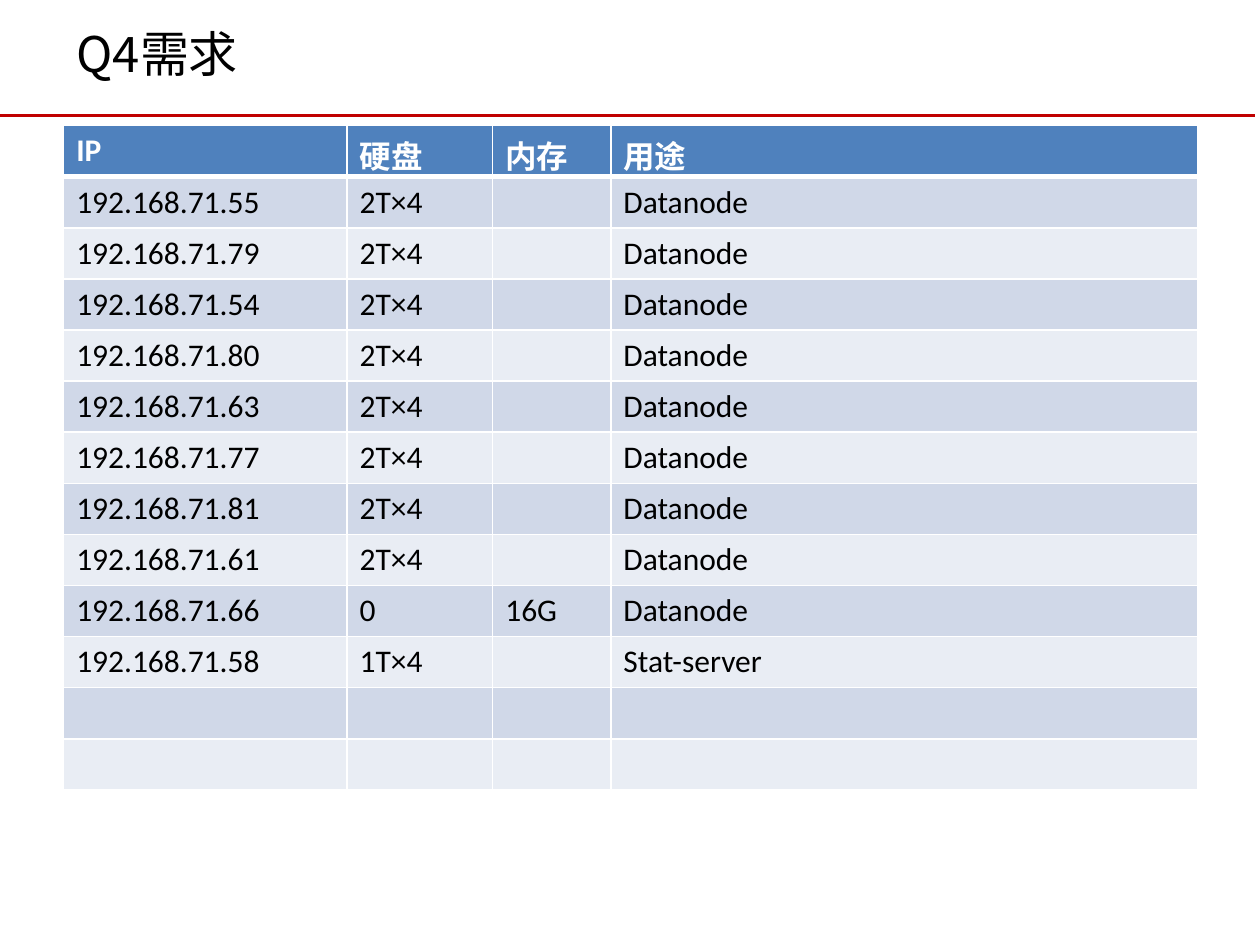
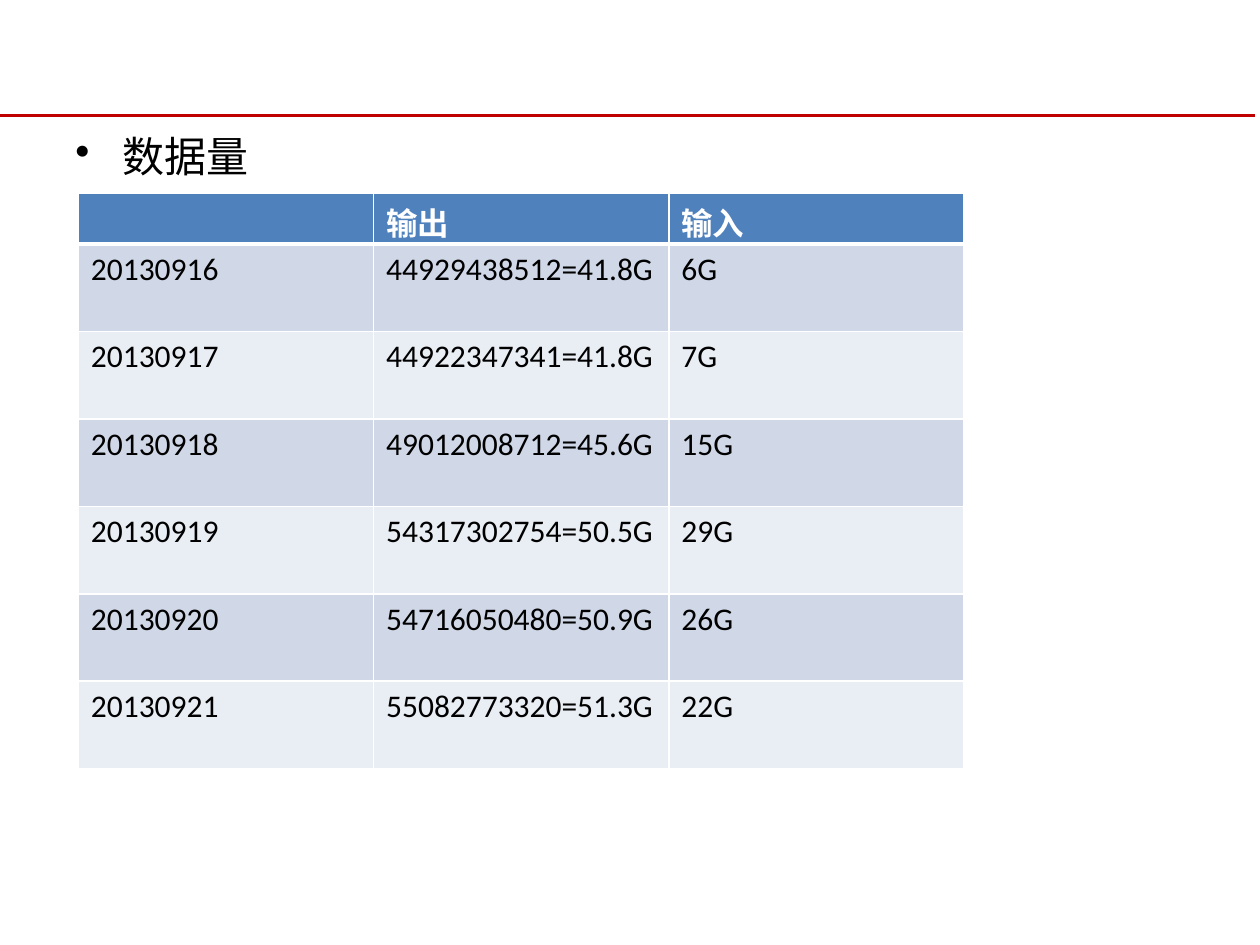
"""Build two slides: the Q4 server requirements and the daily data volume."""
from lxml.etree import SubElement
from pptx import Presentation
from pptx.dml.color import RGBColor
from pptx.enum.shapes import MSO_CONNECTOR
from pptx.enum.text import MSO_ANCHOR
from pptx.oxml.ns import qn
from pptx.util import Pt

BLACK, WHITE, RED = "000000", "FFFFFF", "C00000"
HEADER, BANDS = "4F81BD", ("E9EDF4", "D0D8E8")
LATIN, CHINESE = "Calibri", "Noto Sans CJK SC"


def paint(color_format, color):
    color_format.rgb = RGBColor.from_string(color)


def style(paragraph, size, name, color, bold=False):
    font = paragraph.font
    font.size, font.name, font.bold = Pt(size), name, bold
    font.fill.solid()
    paint(font.fill.fore_color, color)
    properties = paragraph._p.get_or_add_pPr().get_or_add_defRPr()
    SubElement(properties, qn("a:ea"), typeface=CHINESE)


servers = [("IP", "硬盘", "内存", "用途")]
servers += [(f"192.168.71.{host}", "2T×4", "", "Datanode")
            for host in (55, 79, 54, 80, 63, 77, 81, 61)]
servers += [("192.168.71.66", "0", "16G", "Datanode"),
            ("192.168.71.58", "1T×4", "", "Stat-server")]
servers += [("",) * 4] * 2

volumes = [
    ("", "输出", "输入"),
    ("20130916", "44929438512=41.8G", "6G"),
    ("20130917", "44922347341=41.8G", "7G"),
    ("20130918", "49012008712=45.6G", "15G"),
    ("20130919", "54317302754=50.5G", "29G"),
    ("20130920", "54716050480=50.9G", "26G"),
    ("20130921", "55082773320=51.3G", "22G"),
]

pages = [
    dict(text="Q4需求", size=28, bullet=False, box=(36.72, 0, 648, 60.48),
         rows=servers, origin=(36.4, 71.8), widths=(161.9, 83.3, 67.5, 335.3),
         header_height=29.2, row_height=29.2),
    dict(text="数据量", size=24, bullet=True, box=(36, 71.28, 648, 411),
         rows=volumes, origin=(44.8, 110.2), widths=(168.7,) * 3,
         header_height=29.2, row_height=50),
]

presentation = Presentation()
presentation.slide_width, presentation.slide_height = Pt(720), Pt(540)

for page in pages:
    slide = presentation.slides.add_slide(presentation.slide_layouts[6])

    rule = slide.shapes.add_connector(
        MSO_CONNECTOR.STRAIGHT, Pt(0), Pt(66.1), Pt(717), Pt(66.1))
    rule.line.width = Pt(1.5)
    paint(rule.line.color, RED)
    SubElement(rule._element.spPr, qn("a:effectLst"))

    text_box = slide.shapes.add_textbox(*map(Pt, page["box"]))
    frame = text_box.text_frame
    frame.word_wrap = True
    frame.vertical_anchor = MSO_ANCHOR.TOP if page["bullet"] else MSO_ANCHOR.MIDDLE
    paragraph = frame.paragraphs[0]
    paragraph.text = page["text"]
    if page["bullet"]:
        paragraph.space_before = Pt(4.8)
        properties = paragraph._p.get_or_add_pPr()
        properties.set("marL", str(Pt(27)))
        properties.set("indent", str(Pt(-27)))
        SubElement(properties, qn("a:buChar"), char="•")
    style(paragraph, page["size"], CHINESE, BLACK)

    rows, widths = page["rows"], page["widths"]
    heights = [page["header_height"]] + [page["row_height"]] * (len(rows) - 1)
    left, top = page["origin"]
    table = slide.shapes.add_table(
        len(rows), len(widths), Pt(left), Pt(top),
        Pt(sum(widths)), Pt(sum(heights))).table
    for column, width in zip(table.columns, widths):
        column.width = Pt(width)
    for row, height in zip(table.rows, heights):
        row.height = Pt(height)

    for row_index, values in enumerate(rows):
        is_header = row_index == 0
        borders = {"a:lnL": 1, "a:lnR": 1,
                   "a:lnT": 3 if row_index == 1 else 1,
                   "a:lnB": 3 if is_header else 1}
        for column_index, value in enumerate(values):
            cell = table.cell(row_index, column_index)
            cell_properties = cell._tc.get_or_add_tcPr()
            for side, width in borders.items():
                border = SubElement(cell_properties, qn(side), w=str(Pt(width)))
                fill = SubElement(border, qn("a:solidFill"))
                SubElement(fill, qn("a:srgbClr"), val=WHITE)
            cell.fill.solid()
            paint(cell.fill.fore_color, HEADER if is_header else BANDS[row_index % 2])
            cell.text = value
            style(cell.text_frame.paragraphs[0], 18, LATIN,
                  WHITE if is_header else BLACK, is_header)

presentation.save("out.pptx")
